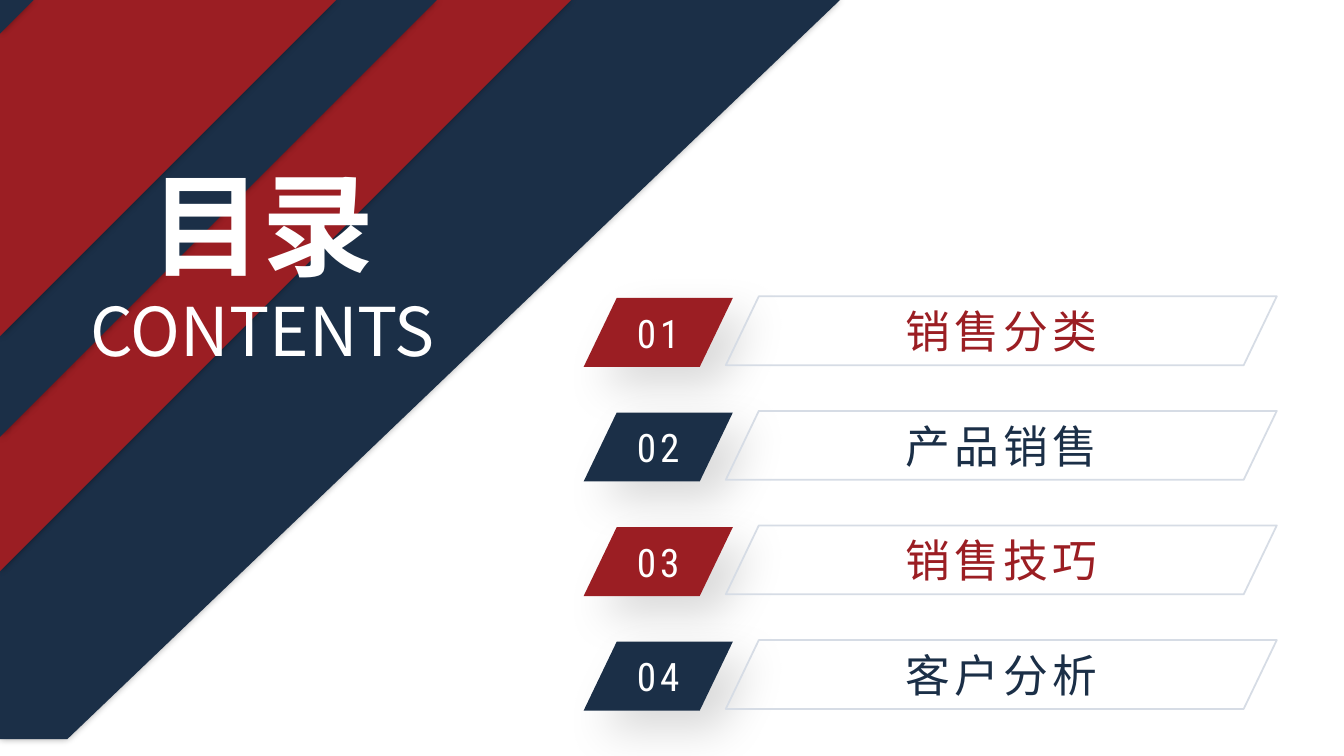
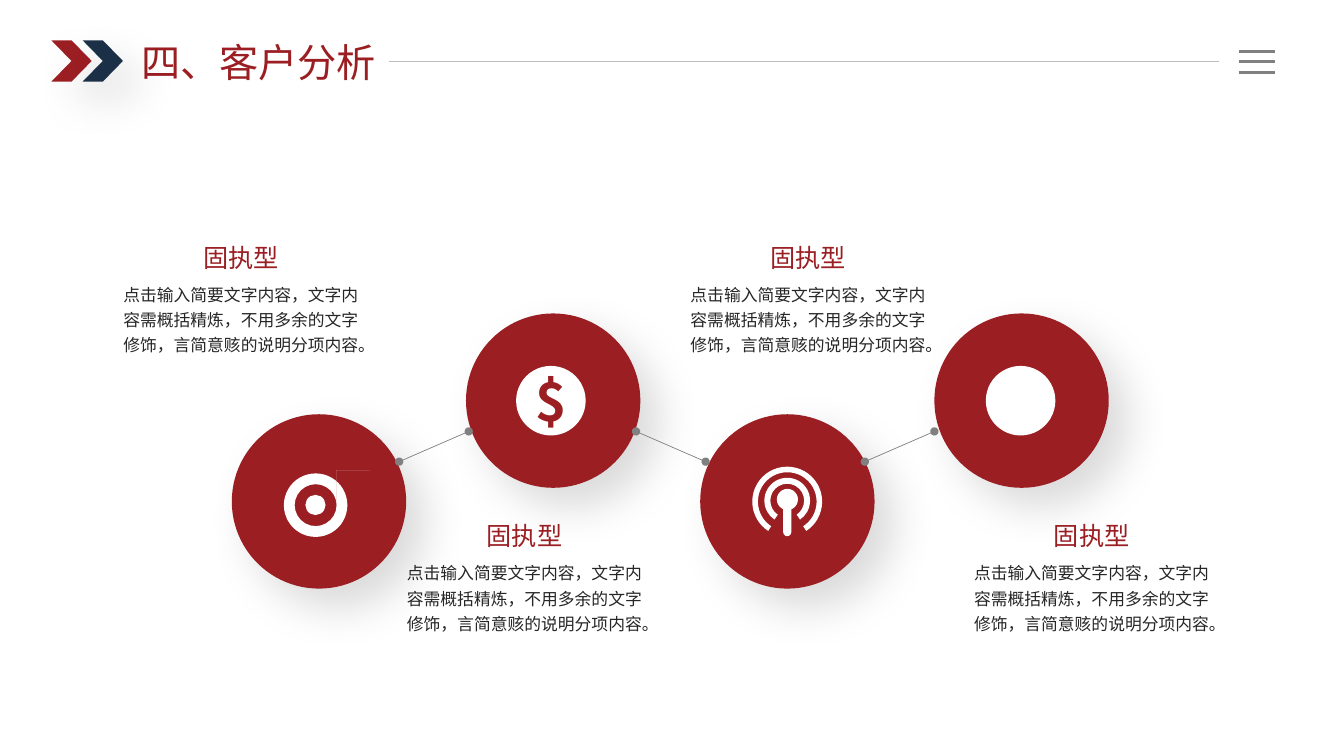
from lxml import etree
from pptx import Presentation
from pptx import util as u
from pptx.dml.color import RGBColor
from pptx.enum import shapes, text
from pptx.oxml.ns import qn

NAVY = RGBColor(0x1B, 0x2F, 0x47)
RED = RGBColor(0x9B, 0x1E, 0x23)
WHITE = RGBColor(0xFF, 0xFF, 0xFF)
INK = RGBColor(0x26, 0x26, 0x26)
GRAY = RGBColor(0x80, 0x80, 0x80)
SILVER = RGBColor(0xBF, 0xBF, 0xBF)
PALE = RGBColor(0xD6, 0xDC, 0xE5)
HEADING_FONT = "Noto Sans CJK JP"
BODY_FONT = "Noto Sans CJK SC"
NUMBER_FONT = "Roboto Condensed"
EDGE_SHADOW = (40, 5, 0, 0)
DROP_SHADOW = (14, 32, 19, 45)
FORM = shapes.MSO_SHAPE
CENTER = text.PP_ALIGN.CENTER

presentation = Presentation()
presentation.slide_width = u.Emu(12192000)
presentation.slide_height = u.Emu(6858000)
CELL = presentation.slide_width // 40
title_only = presentation.slide_layouts[5]


def draw(slide, kind, geometry, fill, shadow=None):
    if kind is None:
        builder = slide.shapes.build_freeform(*geometry[0], scale=CELL)
        builder.add_line_segments(geometry[1:], close=True)
        shape = builder.convert_to_shape()
    else:
        shape = slide.shapes.add_shape(kind, *[round(v * CELL) for v in geometry])
    shape.shadow.inherit = False
    shape.line.fill.background()
    if fill is None:
        shape.fill.background()
    else:
        shape.fill.solid()
        shape.fill.fore_color.rgb = fill
    if shadow:
        alpha, blur, distance, angle = shadow
        effects = shape._element.spPr.find(qn("a:effectLst"))
        outer = etree.SubElement(effects, qn("a:outerShdw"), blurRad=str(u.Pt(blur)),
                                 dist=str(u.Pt(distance)), dir=str(angle * 60000),
                                 algn="ctr", rotWithShape="0")
        black = etree.SubElement(outer, qn("a:srgbClr"), val="000000")
        etree.SubElement(black, qn("a:alpha"), val=str(alpha * 1000))
    return shape


def write(paragraph, words, size, font, color, bold=False, spacing=0, align=CENTER):
    paragraph.alignment = align
    run = paragraph.add_run()
    run.text = words
    run.font.size = u.Pt(size)
    run.font.bold = bold
    run.font.color.rgb = color
    run.font.name = font
    properties = run._r.get_or_add_rPr()
    etree.SubElement(properties, qn("a:ea"), typeface=font)
    if spacing:
        properties.set("spc", str(spacing * 100))


slides = []
for box in [(0.54, 4.47, 14.55, 6.78), (3.9, 0.99, 7.68, 1.71)]:
    slide = presentation.slides.add_slide(title_only)
    title = slide.shapes.title
    title.left, title.top, title.width, title.height = [round(v * CELL) for v in box]
    title.text_frame.auto_size = text.MSO_AUTO_SIZE.NONE
    title.text_frame.vertical_anchor = text.MSO_ANCHOR.TOP
    slides.append(slide)
contents, analysis = slides

draw(contents, None, [(15.2, 0), (25, 0), (2.5, 22.5), (0, 22.5), (0, 15.2)], NAVY, EDGE_SHADOW)
for inner, outer, color in [(7.35, 17.15, RED), (3.55, 13.35, NAVY), (0, 9.85, RED), (0, 1.17, NAVY)]:
    band = [(inner, 0), (outer, 0), (0, outer), (0, inner)]
    draw(contents, None, band, color, EDGE_SHADOW)

title = contents.shapes.title
write(title.text_frame.paragraphs[0], "目录", 80, HEADING_FONT, WHITE, bold=True)
write(title.text_frame.add_paragraph(), "CONTENTS", 48, BODY_FONT, WHITE)
title.element.getparent().append(title.element)

for index, topic in enumerate(["销售分类", "产品销售", "销售技巧", "客户分析"]):
    color = (RED, NAVY)[index % 2]
    shift = 3.41 * index
    badge = draw(contents, FORM.PARALLELOGRAM, (17.37, 8.87 + shift, 4.44, 2.05), color, DROP_SHADOW)
    write(badge.text_frame.paragraphs[0], f"{index + 1:02}", 28, NUMBER_FONT, WHITE, spacing=3)
    label = draw(contents, FORM.PARALLELOGRAM, (21.6, 8.82 + shift, 16.4, 2.05), None)
    label.line.color.rgb = PALE
    label.line.width = u.Pt(1.25)
    label.text_frame.margin_left = label.text_frame.margin_right = u.Inches(0.07)
    label.text_frame.margin_top = label.text_frame.margin_bottom = u.Inches(0.04)
    write(label.text_frame.paragraphs[0], topic, 32, HEADING_FONT, color, spacing=3)
    for shape in (badge, label):
        shape.adjustments[0] = 0.48
        shape.text_frame.vertical_anchor = text.MSO_ANCHOR.MIDDLE

title = analysis.shapes.title
title.text_frame.word_wrap = False
write(title.text_frame.paragraphs[0], "四、客户分析", 28, HEADING_FONT, RED, align=text.PP_ALIGN.LEFT)

for left, color in [(1.53, RED), (2.46, NAVY)]:
    draw(analysis, FORM.CHEVRON, (left, 1.2, 1.2, 1.23), color, DROP_SHADOW)
for index in range(4):
    top = 9.33 if index % 2 else 12.33
    draw(analysis, FORM.OVAL, (6.9 + 6.97 * index, top, 5.19, 5.19), RED, DROP_SHADOW)

lines = [((11.58, 1.84, 36.27, 1.84), SILVER, 0.5, False)]
lines += [((36.87, y, 37.95, y), GRAY, 2.25, False) for y in (1.53, 1.84, 2.15)]
for left, start, end in [(11.88, 13.74, 12.84), (18.93, 12.84, 13.74), (25.74, 13.74, 12.84)]:
    lines.append(((left, start, left + 2.07, end), GRAY, 0.5, True))
for ends, color, width, dotted in lines:
    connector = analysis.shapes.add_connector(
        shapes.MSO_CONNECTOR.STRAIGHT, *[round(v * CELL) for v in ends])
    connector.line.color.rgb = color
    connector.line.width = u.Pt(width)
    if dotted:
        for tip in ("a:headEnd", "a:tailEnd"):
            etree.SubElement(connector.line._get_or_add_ln(), qn(tip), type="oval")
    etree.SubElement(connector._element.spPr, qn("a:effectLst"))

target_gap = [(9.66, 14.52), (10, 14.1), (10.3, 14.4), (9.93, 14.73)]
target_arrow = [(10.26, 13.89), (10.08, 14.07), (10.08, 14.25), (9.57, 14.79), (9.66, 14.88),
                (10.17, 14.37), (10.35, 14.37), (10.53, 14.19), (10.26, 14.19)]
icon_parts = [
    (FORM.DONUT, (8.45, 14.09, 1.89, 1.89), WHITE, [0.17]),
    (FORM.OVAL, (9.09, 14.73, 0.6, 0.6), WHITE, []),
    (None, target_gap, RED, []),
    (None, target_arrow, WHITE, []),
    (FORM.BLOCK_ARC, (22.39, 13.89, 2.08, 2.08), WHITE, [73.8, 34.2, 0.08]),
    (FORM.BLOCK_ARC, (22.75, 14.22, 1.36, 1.36), WHITE, [74.4, 33.6, 0.13]),
    (FORM.OVAL, (23.12, 14.55, 0.63, 0.63), WHITE, []),
    (FORM.ROUNDED_RECTANGLE, (23.31, 14.85, 0.24, 1.11), WHITE, [0.5]),
    (FORM.OVAL, (29.34, 10.89, 2.07, 2.07), WHITE, []),
]
for kind, geometry, color, adjustments in icon_parts:
    part = draw(analysis, kind, geometry, color)
    for index, value in enumerate(adjustments):
        part.adjustments[index] = value

coin = draw(analysis, FORM.OVAL, (15.36, 10.89, 2.07, 2.07), WHITE)
frame = coin.text_frame
frame.margin_left = frame.margin_top = frame.margin_right = frame.margin_bottom = 0
frame.word_wrap = False
frame.vertical_anchor = text.MSO_ANCHOR.MIDDLE
write(frame.paragraphs[0], "$", 38, BODY_FONT, RED, bold=True)

description = "点击输入简要文字内容，文字内容需概括精炼，不用多余的文字修饰，言简意赅的说明分项内容。"
for index in range(4):
    left = 3.15 + 8.44 * index
    top = 15.5 if index % 2 else 7.2
    for box, words, size, font, color, leading in [
        ((left + 0.51, top + 1.11, 7.02, 2.28), description, 12, BODY_FONT, INK, 1.25),
        ((left, top, 8.04, 0.9), "固执型", 18, HEADING_FONT, RED, 1),
    ]:
        frame = analysis.shapes.add_textbox(*[round(v * CELL) for v in box]).text_frame
        frame.word_wrap = True
        frame.margin_left = frame.margin_top = frame.margin_right = frame.margin_bottom = 0
        frame.paragraphs[0].line_spacing = leading
        write(frame.paragraphs[0], words, size, font, color)

presentation.save("out.pptx")
